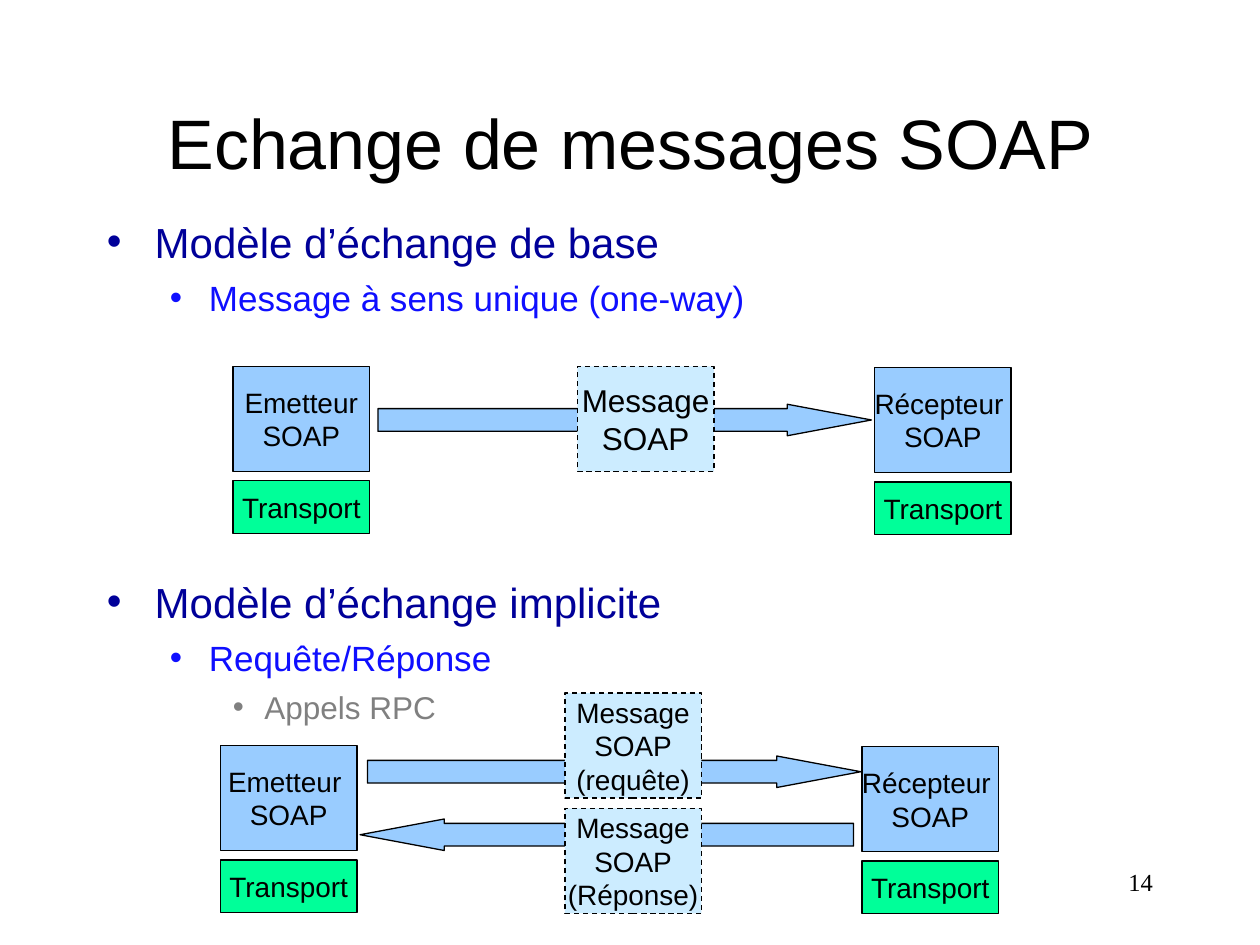
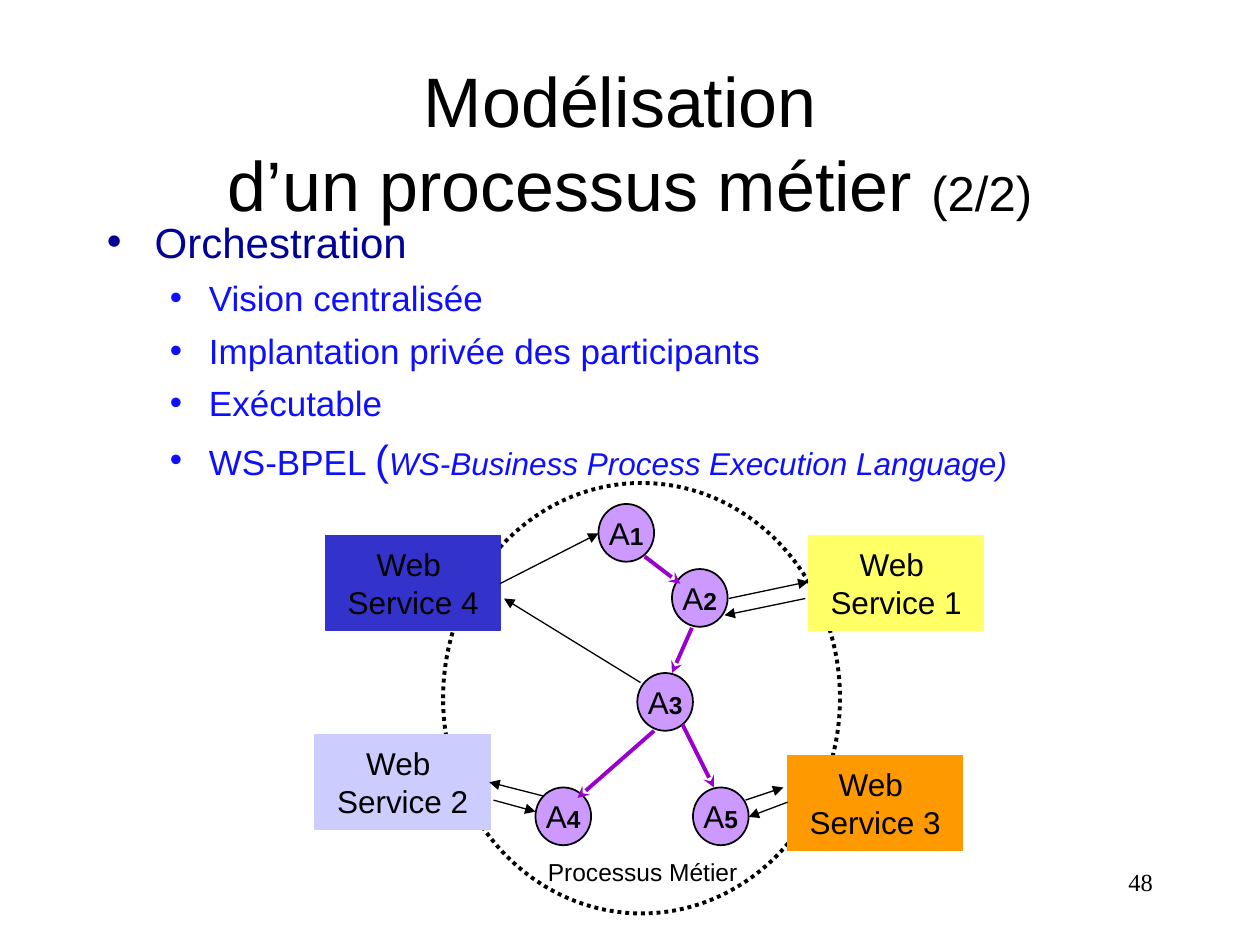
from lxml import etree
from pptx import Presentation
from pptx.dml.color import RGBColor
from pptx.enum.dml import MSO_LINE
from pptx.enum.shapes import MSO_CONNECTOR, MSO_SHAPE
from pptx.enum.text import MSO_ANCHOR, MSO_AUTO_SIZE, PP_ALIGN
from pptx.oxml.ns import qn
from pptx.util import Inches, Pt

RECT, OVAL = MSO_SHAPE.RECTANGLE, MSO_SHAPE.OVAL
RIGHT_ARROW, LEFT_ARROW = MSO_SHAPE.RIGHT_ARROW, MSO_SHAPE.LEFT_ARROW
DASH, DOT = MSO_LINE.DASH, MSO_LINE.ROUND_DOT
STRAIGHT = MSO_CONNECTOR.STRAIGHT
TOP, MIDDLE = MSO_ANCHOR.TOP, MSO_ANCHOR.MIDDLE
LEFT, CENTER, RIGHT = PP_ALIGN.LEFT, PP_ALIGN.CENTER, PP_ALIGN.RIGHT
NO_FIT = MSO_AUTO_SIZE.NONE

BLACK = RGBColor(0x00, 0x00, 0x00)
NAVY = RGBColor(0x00, 0x00, 0x99)
BLUE = RGBColor(0x0F, 0x0F, 0xFF)
GREY = RGBColor(0x80, 0x80, 0x80)
SKY = RGBColor(0x99, 0xCC, 0xFF)
PALE = RGBColor(0xCC, 0xEC, 0xFF)
GREEN = RGBColor(0x00, 0xFF, 0x99)
LILAC = RGBColor(0xCC, 0x99, 0xFF)
PURPLE = RGBColor(0x99, 0x00, 0xCC)
LAVENDER = RGBColor(0xCC, 0xCC, 0xFF)
ORANGE = RGBColor(0xFF, 0x99, 0x00)
INDIGO = RGBColor(0x33, 0x33, 0xCC)
YELLOW = RGBColor(0xFF, 0xFF, 0x66)

COLS, ROWS = 120, 90
BOX_W, BOX_H, TRANSPORT_H = 13, 10, 5
TRANSPORT_DY, MESSAGE_DX, RECEIVER_DX, RECEIVER_DY = 10.9, 32.8, 61.1, 0.1
ARROW_W, ARROW_H = 47, 3
SERVICE_W, SERVICE_H = 16.7, 9
ACTIVITY_W, ACTIVITY_H = 5.3, 5.5

# level: size, colour, text indent, bullet hang, space before
LEVELS = [(24, NAVY, 0.38, 0.38, 6), (20, BLUE, 0.81, 0.31, 5.9), (18, GREY, 1.25, 0.25, 5.3)]


def grid(*cells):
    """Turn grid units, twelve to the inch, into lengths."""
    return [Inches(c * 10 / COLS) for c in cells]


def write(p, text, size=16, color=BLACK, font="Arial", bold=False, italic=False, align=None):
    """Append formatted text to a paragraph, with line breaks at newlines."""
    if align is not None:
        p.alignment = align
    for i, line in enumerate(text.split("\n")):
        if i:
            p.add_line_break()
        r = p.add_run()
        r.text = line
        r.font.size, r.font.name, r.font.bold, r.font.italic = Pt(size), font, bold, italic
        r.font.color.rgb = color


def set_frame(sp, wrap, anchor):
    """Set wrapping and anchor of a text frame and return its first paragraph."""
    tf = sp.text_frame
    tf.auto_size, tf.word_wrap, tf.vertical_anchor = NO_FIT, wrap, anchor
    return tf.paragraphs[0]


def add_label(s, cells, text, wrap=False, **fmt):
    """Add a text box."""
    sp = s.shapes.add_textbox(*grid(*cells))
    write(set_frame(sp, wrap, TOP), text, **fmt)


def add_node(s, kind, cells, fill=None, line=BLACK, width=0.75, dash=None, text="", size=16):
    """Add an outlined preset shape with centred text and return it."""
    sp = s.shapes.add_shape(kind, *grid(*cells))
    sp.shadow.inherit = False
    if fill is None:
        sp.fill.background()
    else:
        sp.fill.solid()
        sp.fill.fore_color.rgb = fill
    sp.line.color.rgb, sp.line.width = line, Pt(width)
    if dash is not None:
        sp.line.dash_style = dash
    if text:
        write(set_frame(sp, False, MIDDLE), text, size=size, align=CENTER)
    return sp


def add_arrow(s, start, end, color=BLACK, width=0.75, head="triangle"):
    """Add a straight connector with an arrowhead at its end."""
    c = s.shapes.add_connector(STRAIGHT, *grid(*start, *end))
    c.line.color.rgb, c.line.width = color, Pt(width)
    etree.SubElement(c.line._get_or_add_ln(), qn("a:tailEnd"), type=head)
    etree.SubElement(c._element.spPr, qn("a:effectLst"))


def add_bullet(tf, level, runs, before=None):
    """Add a bulleted paragraph made of (text, format) runs."""
    size, color, indent, hang, space = LEVELS[level]
    p = tf.paragraphs[0] if not tf.paragraphs[0].runs else tf.add_paragraph()
    p.level, p.space_before = level, Pt(before or space)
    pPr = p._p.get_or_add_pPr()
    pPr.set("marL", str(Inches(indent)))
    pPr.set("indent", str(-Inches(hang)))
    clr = etree.SubElement(pPr, qn("a:buClr"))
    etree.SubElement(clr, qn("a:srgbClr"), val=str(color))
    etree.SubElement(pPr, qn("a:buFont"), typeface="Arial")
    etree.SubElement(pPr, qn("a:buChar"), char="•")
    for text, fmt in runs:
        write(p, text, **{"size": size, "color": color, "align": LEFT, **fmt})


def add_slide(prs, title, number, suffix=""):
    """Add a slide with its title and page number."""
    s = prs.slides.add_slide(prs.slide_layouts[5])
    sp = s.shapes.title
    sp.left, sp.top, sp.width, sp.height = grid(9, 6, 102, 15)
    p = set_frame(sp, True, MIDDLE)
    write(p, title, size=40, align=CENTER)
    if suffix:
        write(p, suffix, size=28)
    add_label(s, (86, 82, 25, 6), number, wrap=True, size=14, font="Times New Roman", align=RIGHT)
    return s


def add_body(s, height):
    """Add the bullet area and return its text frame."""
    sp = s.shapes.add_textbox(*grid(9, 20, 102, height))
    set_frame(sp, True, TOP)
    return sp.text_frame


def add_block_arrow(s, kind, x, y):
    """Add a long block arrow with a slender head."""
    sp = add_node(s, kind, (x, y, ARROW_W, ARROW_H), SKY)
    sp.adjustments[0], sp.adjustments[1] = 0.72, 2.67


def add_exchange(s, x, y, sender, arrows, messages):
    """Draw sender and receiver stacks, the arrows between and their messages."""
    ends = [(x, y, sender), (x + RECEIVER_DX, y + RECEIVER_DY, "Récepteur \nSOAP")]
    for left, top, text in ends:
        add_node(s, RECT, (left, top, BOX_W, BOX_H), SKY, text=text)
        add_node(s, RECT, (left, top + TRANSPORT_DY, BOX_W, TRANSPORT_H), GREEN, text="Transport")
    for arrow in arrows:
        add_block_arrow(s, *arrow)
    for top, text, size in messages:
        add_node(s, RECT, (x + MESSAGE_DX, top, BOX_W, BOX_H), PALE, dash=DASH, text=text, size=size)


def build_soap(prs):
    """Build the slide on SOAP message exchange."""
    s = add_slide(prs, "Echange de messages SOAP", "14")
    tf = add_body(s, 67)
    add_bullet(tf, 0, [("Modèle d’échange de base", {})])
    add_bullet(tf, 1, [("Message à sens unique (one-way)", {})])
    add_bullet(tf, 0, [("Modèle d’échange implicite", {})], before=147)
    add_bullet(tf, 1, [("Requête/Réponse", {})])
    add_bullet(tf, 2, [("Appels RPC", {})])
    add_exchange(s, 22.2, 34.9, "Emetteur\nSOAP", [(RIGHT_ARROW, 36, 38.5)],
                 [(34.9, "Message\nSOAP", 18)])
    add_exchange(s, 21, 71, "Emetteur \nSOAP",
                 [(RIGHT_ARROW, 35, 72), (LEFT_ARROW, 34.3, 78)],
                 [(66, "Message\nSOAP\n(requête)", 16), (77, "Message\nSOAP\n(Réponse)", 16)])


def build_process(prs):
    """Build the slide on business process modelling."""
    s = add_slide(prs, "Modélisation \nd’un processus métier ", "48", suffix="(2/2)")
    add_node(s, OVAL, (42.2, 46, 37.8, 41), width=2.25, dash=DOT)
    tf = add_body(s, 54)
    add_bullet(tf, 0, [("Orchestration", {})])
    for text in ("Vision centralisée", "Implantation privée des participants", "Exécutable"):
        add_bullet(tf, 1, [(text, {})])
    add_bullet(tf, 1, [("WS-BPEL ", {}), ("(", {"size": 24}),
                       ("WS-Business Process Execution Language)", {"size": 18, "italic": True})])

    services = [(77, 51, YELLOW), (30, 70, LAVENDER), (75, 72, ORANGE), (31, 51, INDIGO)]
    for n, (x, y, color) in enumerate(services, 1):
        add_node(s, RECT, (x, y, SERVICE_W, SERVICE_H), color, color,
                 text=f"Web \nService {n}", size=18)

    activities = [(57, 48), (64, 54.2), (60.7, 64.1), (51, 75), (66, 75)]
    for n, (x, y) in enumerate(activities, 1):
        sp = add_node(s, OVAL, (x, y, ACTIVITY_W, ACTIVITY_H), LILAC, width=1, text="A", size=18)
        write(sp.text_frame.paragraphs[0], str(n), size=14, bold=True)

    flows = [((61.4, 53), (64.8, 55.6)), ((65.9, 59.8), (64, 64.1)),
             ((62.3, 69.6), (55, 76)), ((65, 69), (68, 75))]
    for start, end in flows:
        add_arrow(s, start, end, PURPLE, 2.25, "stealth")

    calls = [((47.6, 55.6), (57, 50.8)), ((61, 65), (48, 57)),
             ((69.4, 57), (77, 55.4)), ((76.7, 57), (69, 58.6)),
             ((51.7, 75.8), (46.6, 74.5)), ((47, 76.2), (51, 77.3)),
             ((71, 76.2), (74.6, 75)), ((75, 76.4), (71.3, 77.8))]
    for start, end in calls:
        add_arrow(s, start, end)
    add_label(s, (51, 81, 20.4, 4), "Processus Métier", size=14)


def main():
    """Build and save the presentation."""
    prs = Presentation()
    prs.slide_width, prs.slide_height = grid(COLS, ROWS)
    build_soap(prs)
    build_process(prs)
    prs.save("out.pptx")


if __name__ == "__main__":
    main()
